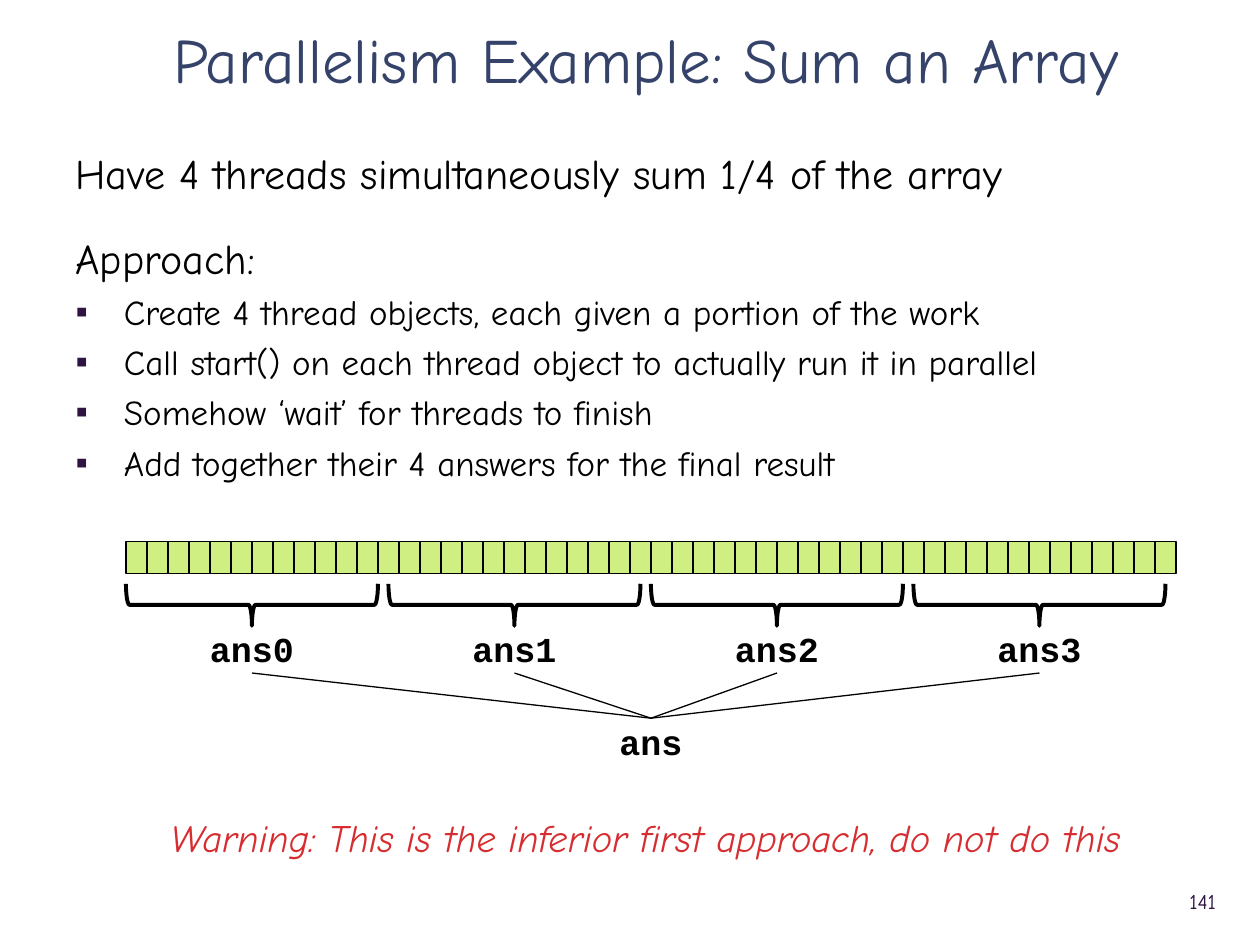
from lxml.etree import SubElement
from pptx import Presentation
from pptx.dml.color import RGBColor
from pptx.enum.shapes import MSO_CONNECTOR, MSO_SHAPE
from pptx.enum.text import MSO_ANCHOR, MSO_AUTO_SIZE, PP_ALIGN
from pptx.oxml.ns import qn
from pptx.util import Emu, Pt

SCALE = 7620  # EMU per px, 120 px to the inch


def px(value):
    return Emu(value * SCALE)


def color(value):
    return RGBColor.from_string(value)


class Painter:
    """Style and current slide."""
    SANS, MONO = "Comic Neue", "Courier New"
    BLACK, NAVY, PURPLE = "000000", "35436A", "2F1343"
    GREEN, RED = "D0EF82", "D62D31"

    def __init__(self, page):
        self.page = page

    def place(self, item, left, top, width, height):
        item.left, item.top = px(left), px(top)
        item.width, item.height = px(width), px(height)

    def style(self, para, size, ink, name=SANS, bold=False, italic=False):
        font = para.font
        font.size, font.name = Pt(size), name
        font.bold, font.italic = bold, italic
        font.color.rgb = color(ink)

    def title(self, words, *area):
        box = self.page.shapes.title
        self.place(box, *area)
        frame = box.text_frame
        frame.auto_size = MSO_AUTO_SIZE.NONE
        frame.vertical_anchor = MSO_ANCHOR.MIDDLE
        para = frame.paragraphs[0]
        para.text = words
        para.alignment = PP_ALIGN.CENTER
        para.line_spacing = 1.1
        self.style(para, 36, self.NAVY)

    def body(self, *area):
        box = self.page.placeholders[1]
        self.place(box, *area)
        frame = box.text_frame
        frame.auto_size = MSO_AUTO_SIZE.NONE
        frame.vertical_anchor = MSO_ANCHOR.TOP
        return frame

    def item(self, frame, words, size, before, ink=BLACK, bullet=False,
             align=PP_ALIGN.LEFT, italic=False):
        first = not frame.text
        para = frame.paragraphs[0] if first else frame.add_paragraph()
        para.text = words
        para.alignment = align
        para.space_before = Pt(before)
        props = para._p.get_or_add_pPr()
        hang = px(46) if bullet else 0
        props.set("marL", str(hang))
        props.set("indent", str(-hang))
        if bullet:
            tint = SubElement(props, qn("a:buClr"))
            SubElement(tint, qn("a:srgbClr"), val=self.PURPLE)
            SubElement(props, qn("a:buChar"), char="▪")
        else:
            SubElement(props, qn("a:buNone"))
        self.style(para, size, ink, italic=italic)

    def shape(self, kind, left, top, width, height, weight, fill=None, turn=0):
        item = self.page.shapes.add_shape(
            kind, px(left), px(top), px(width), px(height))
        item.rotation = turn
        item.shadow.inherit = False
        if fill:
            item.fill.solid()
            item.fill.fore_color.rgb = color(fill)
        else:
            item.fill.background()
        item.line.color.rgb = color(self.BLACK)
        item.line.width = Pt(weight)

    def line(self, x1, y1, x2, y2):
        item = self.page.shapes.add_connector(
            MSO_CONNECTOR.STRAIGHT, px(x1), px(y1), px(x2), px(y2))
        item.line.color.rgb = color(self.BLACK)
        item.line.width = Pt(0.75)
        SubElement(item._element.spPr, qn("a:effectLst"))

    def text(self, words, left, top, width, height, align=PP_ALIGN.LEFT):
        box = self.page.shapes.add_textbox(
            px(left), px(top), px(width), px(height))
        para = box.text_frame.paragraphs[0]
        para.text = words
        para.alignment = align
        return box.text_frame, para

    def variable(self, words, center, top, width):
        frame, para = self.text(words, center - width // 2, top, width, 46,
                                PP_ALIGN.CENTER)
        frame.word_wrap = False
        frame.margin_top = frame.margin_bottom = px(2)
        self.style(para, 20, self.BLACK, self.MONO, bold=True)

    def page_number(self, words, *area):
        frame, para = self.text(words, *area, PP_ALIGN.RIGHT)
        frame.word_wrap = True
        frame.vertical_anchor = MSO_ANCHOR.MIDDLE
        self.style(para, 12, self.PURPLE)


def main():
    deck = Presentation()
    deck.slide_width, deck.slide_height = px(1200), px(900)
    painter = Painter(deck.slides.add_slide(deck.slide_layouts[1]))

    # Title and approach
    painter.title("Parallelism Example: Sum an Array", 60, 20, 1110, 64)
    frame = painter.body(60, 134, 1110, 712)
    painter.item(frame, "Have 4 threads simultaneously sum 1/4 of the array", 24, 0)
    painter.item(frame, "Approach:", 24, 20)
    for step in ("Create 4 thread objects, each given a portion of the work",
                 "Call start() on each thread object to actually run it in parallel",
                 "Somehow ‘wait’ for threads to finish",
                 "Add together their 4 answers for the final result"):
        painter.item(frame, step, 20, 4.6, bullet=True)
    painter.item(frame, "Warning: This is the inferior first approach, do not do this",
                 22, 189, painter.RED, align=PP_ALIGN.CENTER, italic=True)

    # Array cells
    cell = 20
    for index in range(50):
        painter.shape(MSO_SHAPE.RECTANGLE, 120 + index * cell, 516, cell, 30,
                      0.75, painter.GREEN)

    # Four partial sums joined into one answer
    answer_x, answer_y = 620, 684
    for index in range(4):
        center = 240 + index * 250
        painter.shape(MSO_SHAPE.LEFT_BRACE, center - 20, 456, 40, 240, 2.25,
                      turn=270)
        painter.line(center, 641, answer_x, answer_y)
        painter.variable(f"ans{index}", center, 596, 106)
    painter.variable("ans", answer_x, answer_y, 86)

    painter.page_number("141", 1067, 834, 103, 48)
    deck.save("out.pptx")


if __name__ == "__main__":
    main()
